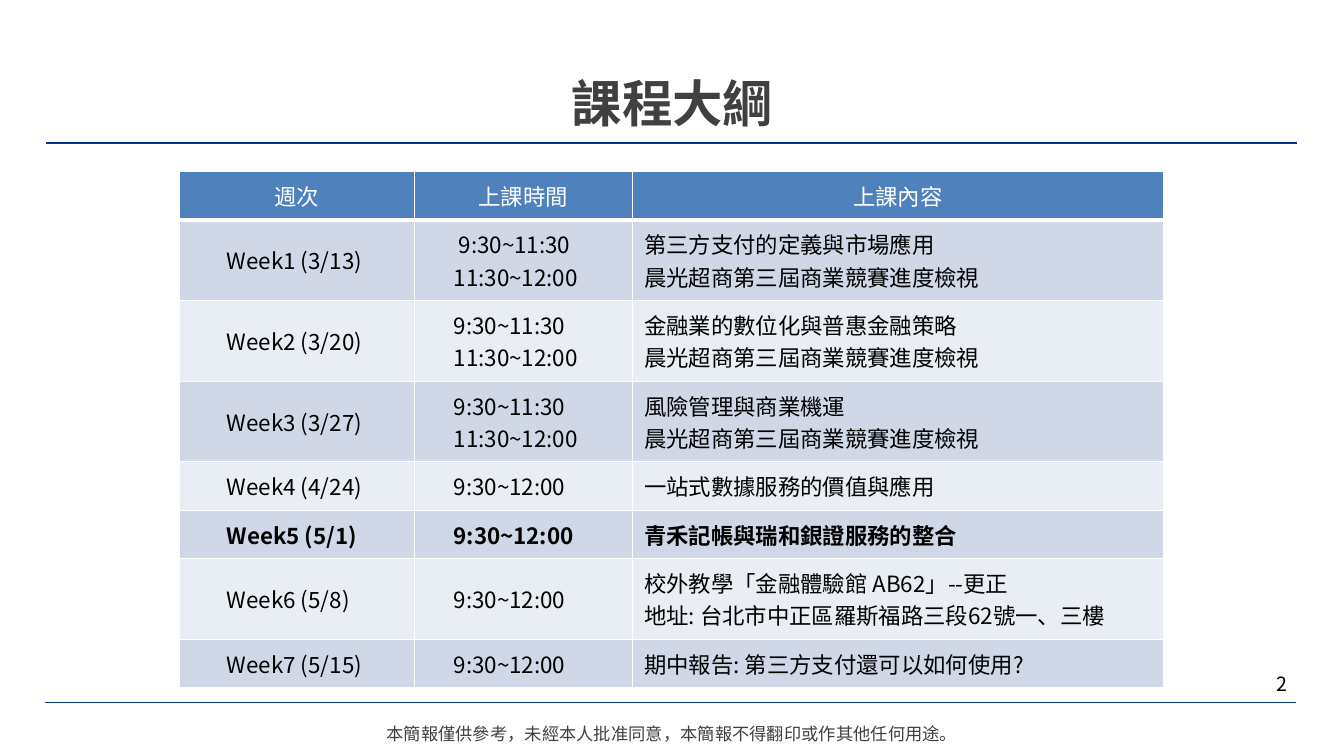
from dataclasses import dataclass

from lxml import etree
from pptx import Presentation
from pptx import util as u
from pptx.dml.color import RGBColor
from pptx.enum import shapes, text
from pptx.oxml.ns import qn

COLOURS = {
    "rule": "003686", "ink": "404040", "black": "000000", "white": "FFFFFF",
    "header": "4F81BD", "odd": "D0D8E8", "even": "E9EDF4",
}
SANS_SC = "Noto Sans CJK SC"
SANS_TC = "Noto Sans CJK TC"
ALIGN = text.PP_ALIGN
CHECKUP = "晨光超商第三屆商業競賽進度檢視"


@dataclass
class Style:
    size: float
    colour: str
    align: text.PP_ALIGN
    bold: bool = False
    face: str = SANS_SC
    spacing: float = 1.0


@dataclass
class Column:
    heading: str
    width: float
    inset: float
    align: text.PP_ALIGN


@dataclass
class Week:
    label: str
    times: list[str]
    topics: list[str]
    bold: bool = False


@dataclass
class Label:
    wording: str
    left: float
    top: float
    width: float
    height: float
    inset_x: float
    inset_y: float
    anchor: text.MSO_ANCHOR
    style: Style


COLUMNS = [
    Column("週次", 2.33, 0.47, ALIGN.JUSTIFY),
    Column("上課時間", 2.16, 0.39, ALIGN.JUSTIFY),
    Column("上課內容", 5.27, 0.12, ALIGN.LEFT),
]
WEEKS = [
    Week("Week1 (3/13)", [" 9:30~11:30", "11:30~12:00"], ["第三方支付的定義與市場應用", CHECKUP]),
    Week("Week2 (3/20)", ["9:30~11:30", "11:30~12:00"], ["金融業的數位化與普惠金融策略", CHECKUP]),
    Week("Week3 (3/27)", ["9:30~11:30", "11:30~12:00"], ["風險管理與商業機運", CHECKUP]),
    Week("Week4 (4/24)", ["9:30~12:00"], ["一站式數據服務的價值與應用"]),
    Week("Week5 (5/1)", ["9:30~12:00"], ["青禾記帳與瑞和銀證服務的整合"], bold=True),
    Week("Week6 (5/8)", ["9:30~12:00"],
         ["校外教學「金融體驗館 AB62」--更正", "地址: 台北市中正區羅斯福路三段62號一、三樓"]),
    Week("Week7 (5/15)", ["9:30~12:00"], ["期中報告: 第三方支付還可以如何使用?"]),
]
RULES = [(0.46, 1.42), (0.45, 6.97)]
RULE_LENGTH = 12.4
LABELS = [
    Label("本簡報僅供參考，未經本人批准同意，本簡報不得翻印或作其他任何用途。",
          1.99, 7.13, 9.35, 0.23, 0, 0, text.MSO_ANCHOR.TOP,
          Style(12.3, "ink", ALIGN.CENTER, spacing=1.2)),
    Label("2", 9.87, 6.58, 3, 0.4, 0.1, 0.05, text.MSO_ANCHOR.MIDDLE,
          Style(14, "black", ALIGN.RIGHT, face=SANS_TC)),
]


def rgb(name: str) -> RGBColor:
    return RGBColor.from_string(COLOURS[name])


def write(frame, lines: list[str], style: Style) -> None:
    """Fill a text frame, one paragraph per line."""
    frame.text = "\n".join(lines)
    for para in frame.paragraphs:
        para.alignment = style.align
        para.line_spacing = style.spacing
        para.font.size = u.Pt(style.size)
        para.font.bold = style.bold
        para.font.color.rgb = rgb(style.colour)
        para.font.name = style.face
        # Chinese text takes the East Asian typeface
        defaults = para._p.pPr.find(qn("a:defRPr"))
        etree.SubElement(defaults, qn("a:ea"), typeface=style.face)


def border_cell(cell, bottom: float) -> None:
    """Draw white borders; they come before the fill in the cell XML."""
    properties = cell._tc.get_or_add_tcPr()
    sides = {"a:lnL": 1, "a:lnR": 1, "a:lnT": 1, "a:lnB": bottom}
    for place, (tag, points) in enumerate(sides.items()):
        line = etree.Element(qn(tag), w=str(u.Pt(points)))
        fill = etree.SubElement(line, qn("a:solidFill"))
        etree.SubElement(fill, qn("a:srgbClr"), val=COLOURS["white"])
        properties.insert(place, line)


def fill_cell(cell, lines: list[str], style: Style, fill: str,
              inset: float, bottom: float = 1) -> None:
    cell.margin_left = cell.margin_right = u.Inches(inset)
    cell.margin_top = cell.margin_bottom = u.Inches(0.08)
    cell.fill.solid()
    cell.fill.fore_color.rgb = rgb(fill)
    border_cell(cell, bottom)
    write(cell.text_frame, lines, style)


def add_rule(page, left: float, top: float) -> None:
    rule = page.shapes.add_connector(
        shapes.MSO_CONNECTOR.STRAIGHT, u.Inches(left), u.Inches(top),
        u.Inches(left + RULE_LENGTH), u.Inches(top))
    rule.line.color.rgb = rgb("rule")
    rule.line.width = u.Pt(1)
    etree.SubElement(rule._element.spPr, qn("a:effectLst"))


def add_label(page, label: Label) -> None:
    box = page.shapes.add_textbox(u.Inches(label.left), u.Inches(label.top),
                                  u.Inches(label.width), u.Inches(label.height))
    frame = box.text_frame
    frame.word_wrap = True
    frame.vertical_anchor = label.anchor
    frame.margin_left = frame.margin_right = u.Inches(label.inset_x)
    frame.margin_top = frame.margin_bottom = u.Inches(label.inset_y)
    write(frame, [label.wording], label.style)


def add_title(page, wording: str) -> None:
    title = page.shapes.title
    title.left, title.top = u.Inches(1.13), u.Inches(0.61)
    title.width, title.height = u.Inches(11.08), u.Inches(1.25)
    title.text_frame.auto_size = text.MSO_AUTO_SIZE.NONE
    title.text_frame.vertical_anchor = text.MSO_ANCHOR.TOP
    write(title.text_frame, [wording], Style(36, "ink", ALIGN.CENTER, bold=True, spacing=1.1))


def add_schedule(page) -> None:
    table = page.shapes.add_table(
        len(WEEKS) + 1, len(COLUMNS), u.Inches(1.78), u.Inches(1.7),
        u.Inches(sum(column.width for column in COLUMNS)), u.Inches(5.1)).table

    # Header row
    table.rows[0].height = u.Inches(0.48)
    for index, column in enumerate(COLUMNS):
        table.columns[index].width = u.Inches(column.width)
        fill_cell(table.cell(0, index), [column.heading],
                  Style(16, "white", ALIGN.CENTER), "header", 0.1, bottom=3)

    # One row per week, in alternating bands
    for number, week in enumerate(WEEKS, start=1):
        line_count = max(len(week.times), len(week.topics))
        table.rows[number].height = u.Inches(0.16 + 0.32 * line_count)
        contents = [[week.label], week.times, week.topics]
        for index, (column, lines) in enumerate(zip(COLUMNS, contents)):
            cell = table.cell(number, index)
            cell.vertical_anchor = text.MSO_ANCHOR.MIDDLE
            fill_cell(cell, lines, Style(16, "black", column.align, week.bold),
                      "odd" if number % 2 else "even", column.inset,)


def main() -> None:
    deck = Presentation()
    deck.slide_width, deck.slide_height = u.Inches(13.33), u.Inches(7.5)
    page = deck.slides.add_slide(deck.slide_layouts.get_by_name("Title Only"))
    for left, top in RULES:
        add_rule(page, left, top)
    add_title(page, "課程大綱")
    add_schedule(page)
    for label in LABELS:
        add_label(page, label)
    deck.save("out.pptx")


if __name__ == "__main__":
    main()
